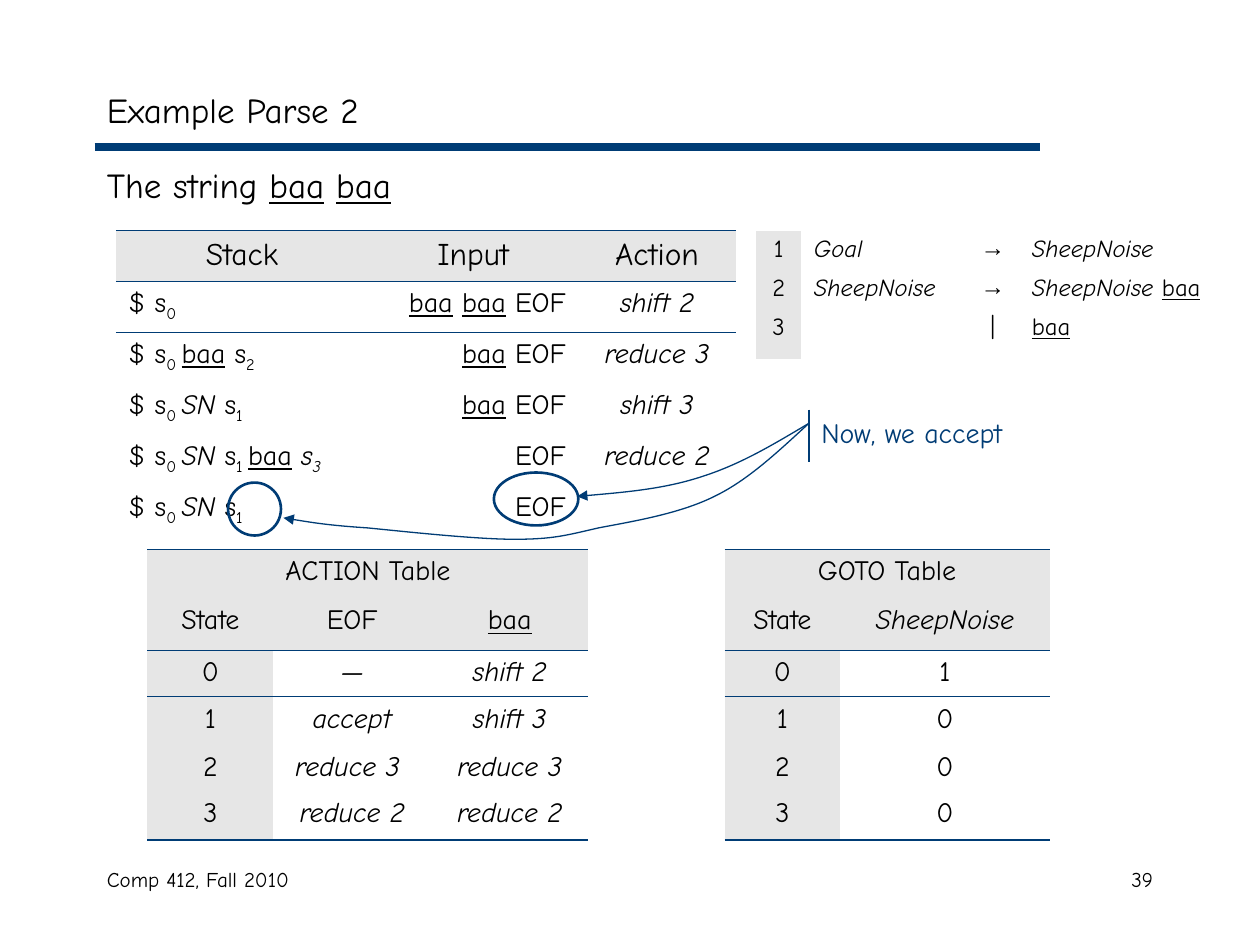
from dataclasses import dataclass, field

from lxml.etree import SubElement
from pptx import Presentation
from pptx.dml.color import RGBColor
from pptx.enum.shapes import MSO_CONNECTOR, MSO_SHAPE
from pptx.enum.text import MSO_ANCHOR, PP_ALIGN
from pptx.oxml.ns import qn
from pptx.util import Inches, Pt

NAVY, GREY, WHITE, BLACK = "003C75", "E6E6E6", "FFFFFF", "000000"
FONT = "Comic Neue"
PLAIN_STYLE = "{2D5ABB26-0587-4C30-8999-92F81FD0307C}"
ALIGN = {"l": PP_ALIGN.LEFT, "c": PP_ALIGN.CENTER, "r": PP_ALIGN.RIGHT}


@dataclass
class Label:
    text: str
    box: tuple
    size: float
    align: str = "l"
    color: str = BLACK
    middle: bool = False


@dataclass
class Grid:
    left: float
    top: float
    cols: list
    rows: list
    cells: list
    align: str
    rules: dict = field(default_factory=dict)  # row edge -> line width
    head: int = 0
    size: float = 16
    head_size: float = 16
    side: bool = True
    fill: str = ""
    spacing: float = 1.0
    title: bool = False


def rgb(color: str) -> RGBColor:
    return RGBColor.from_string(color)


def write(para, text: str, size: float, align: str, color: str = BLACK) -> None:
    """Fill a paragraph; _ marks underline, * italic and ~ subscript."""
    para.alignment = ALIGN[align]
    para.font.size = Pt(size)
    marks, part = set(), ""
    for char in text + "_":
        if char not in "_*~":
            part += char
            continue
        if part:
            run = para.add_run()
            run.text = part
            font = run.font
            font.name = "Arial" if part == "→" else FONT
            font.size = Pt(size)
            font.color.rgb = rgb(color)
            font.underline = "_" in marks
            font.italic = "*" in marks
            if "~" in marks:
                font._element.set("baseline", "-25000")
            part = ""
        marks ^= {char}


def add_label(slide, label: Label) -> None:
    box = slide.shapes.add_textbox(*map(Inches, label.box))
    frame = box.text_frame
    frame.word_wrap = True
    if label.middle:
        frame.vertical_anchor = MSO_ANCHOR.MIDDLE
    write(frame.paragraphs[0], label.text, label.size, label.align, label.color)


def add_edge(cell, tag: str, width: float) -> None:
    """Put a border first in the cell properties, ahead of the fill."""
    props = cell._tc.get_or_add_tcPr()
    line = SubElement(props, qn(tag), w=str(Pt(width)))
    SubElement(SubElement(line, qn("a:solidFill")), qn("a:srgbClr"), val=NAVY)
    props.insert(0, line)


def add_grid(slide, grid: Grid) -> None:
    frame = slide.shapes.add_table(
        len(grid.rows), len(grid.cols), Inches(grid.left), Inches(grid.top),
        Inches(sum(grid.cols)), Inches(sum(grid.rows)))
    table = frame.table
    table.first_row = table.horz_banding = False
    table._tbl.tblPr.find(qn("a:tableStyleId")).text = PLAIN_STYLE
    for col, width in zip(table.columns, grid.cols):
        col.width = Inches(width)
    for row, height in zip(table.rows, grid.rows):
        row.height = Inches(height)
    if grid.title:
        table.cell(0, 0).merge(table.cell(0, len(grid.cols) - 1))
    for r, texts in enumerate(grid.cells):
        is_head = r < grid.head
        for c, text in enumerate(texts):
            cell = table.cell(r, c)
            fill = GREY if is_head or (grid.side and c == 0) else grid.fill
            if fill:
                cell.fill.solid()
                cell.fill.fore_color.rgb = rgb(fill)
            else:
                cell.fill.background()
            para = cell.text_frame.paragraphs[0]
            para.line_spacing = grid.spacing
            write(para, text, grid.head_size if is_head else grid.size,
                  "c" if is_head else grid.align[c])
            for tag, edge in (("a:lnB", r + 1), ("a:lnT", r)):
                if edge in grid.rules:
                    add_edge(cell, tag, grid.rules[edge])


def add_line(slide, start: tuple, end: tuple, width: float) -> None:
    line = slide.shapes.add_connector(
        MSO_CONNECTOR.STRAIGHT, *map(Inches, start + end))
    line.line.color.rgb = rgb(NAVY)
    line.line.width = Pt(width)
    SubElement(line._element.spPr, qn("a:effectLst"))


def outline(shape, width: float) -> None:
    shape.shadow.inherit = False
    shape.fill.background()
    shape.line.color.rgb = rgb(NAVY)
    shape.line.width = Pt(width)


def add_ring(slide, box: tuple) -> None:
    outline(slide.shapes.add_shape(MSO_SHAPE.OVAL, *map(Inches, box)), 1.5)


def add_curve(slide, points: list) -> None:
    """Draw an arrow of Bezier pieces: a start, then three points a piece."""
    spots = [(Inches(x), Inches(y)) for x, y in points]
    form = slide.shapes.build_freeform(*spots[0])
    form.add_line_segments(spots[1:], close=False)
    shape = form.convert_to_shape()
    outline(shape, 0.75)
    SubElement(shape._element.spPr.find(qn("a:ln")), qn("a:tailEnd"), type="triangle")
    track = next(shape._element.iter(qn("a:path")))
    steps = track.findall(qn("a:lnTo"))
    for i in range(0, len(steps), 3):
        bend = SubElement(track, qn("a:cubicBezTo"))
        for step in steps[i:i + 3]:
            bend.append(step[0])
            track.remove(step)


STATE_ROWS = [0.39, 0.41, 0.37, 0.38, 0.37, 0.39]
STATE = dict(top=4.36, rows=STATE_ROWS, rules={0: 1.08, 2: 0.45, 6: 1.08},
             head=2, fill=WHITE, title=True)
GRIDS = [
    Grid(left=1.17, cols=[1, 1.25, 1.25], align="ccc", cells=[
        ("ACTION Table", "", ""), ("State", "EOF", "_baa_"),
        ("0", "*—*", "*shift 2*"), ("1", "*accept*", "*shift 3*"),
        ("2", "*reduce 3 *", "*reduce 3*"), ("3", "*reduce 2*", "*reduce 2*"),
    ], **STATE),
    Grid(left=5.75, cols=[0.92, 1.66], align="cc", cells=[
        ("GOTO Table", ""), ("State", "*SheepNoise*"),
        ("0", "1"), ("1", "0"), ("2", "0"), ("3", "0"),
    ], **STATE),
    Grid(0.92, 1.83, [2, 1.67, 1.25], [0.4] + [0.405] * 5, [
        ("Stack", "Input", "Action"),
        ("$ s~0~", "_baa_ _baa_ EOF", "*shift 2*"),
        ("$ s~0 ~_baa_ s~2~", "_baa_ EOF", "*reduce 3*"),
        ("$ s~0 ~*SN* s~1~", "_baa_ EOF", "*shift 3*"),
        ("$ s~0 ~*SN* s~1 ~_baa_* s~3~*", "EOF", "*reduce 2*"),
        ("$ s~0 ~*SN* s~1~", "EOF", ""),
    ], "lrc", {0: 1.08, 1: 0.45}, head=1, head_size=18, side=False),
    Grid(6, 1.83, [0.36, 1.31, 0.42, 1.67], [0.31, 0.31, 0.4], [
        ("1", "*Goal*", "→", "*SheepNoise*"),
        ("2", "*SheepNoise*", "→", "*SheepNoise *_baa_"),
        ("3", "", "|", "_baa_"),
    ], "clcl", size=14, spacing=0.9),
]
LABELS = [
    Label("Example Parse 2", (0.75, 0.58, 8.5, 0.58), 20, middle=True),
    Label("The string _baa_ _baa_", (0.75, 1.25, 8.5, 0.58), 20),
    Label("Now, we accept", (6.42, 3.25, 2.25, 0.37), 16, color=NAVY),
    Label("Comp 412, Fall 2010", (0.75, 6.83, 3.17, 0.5), 12),
    Label("39", (7.17, 6.83, 2.08, 0.5), 12, "r"),
]
RINGS = [(1.81, 3.83, 0.42, 0.42), (3.92, 3.75, 0.67, 0.42)]
CURVES = [
    [(6.42, 3.36), (6.15, 3.52), (5.89, 3.68), (5.58, 3.78),
     (5.28, 3.88), (4.93, 3.91), (4.58, 3.94)],
    [(6.42, 3.36), (6.18, 3.58), (5.94, 3.81), (5.67, 3.94),
     (5.39, 4.08), (5.01, 4.14), (4.75, 4.19),
     (4.49, 4.25), (4.39, 4.28), (4.08, 4.28),
     (3.78, 4.28), (3.22, 4.22), (2.92, 4.19),
     (2.61, 4.17), (2.43, 4.14), (2.25, 4.11)],
]


def main() -> None:
    deck = Presentation()
    deck.slide_width, deck.slide_height = Inches(10), Inches(7.5)
    slide = deck.slides.add_slide(deck.slide_layouts[6])
    add_line(slide, (0.75, 1.17), (8.25, 1.17), 4.5)
    for grid in GRIDS:
        add_grid(slide, grid)
    for label in LABELS:
        add_label(slide, label)
    add_line(slide, (6.42, 3.25), (6.42, 3.67), 1.5)
    for ring in RINGS:
        add_ring(slide, ring)
    for curve in CURVES:
        add_curve(slide, curve)
    deck.save("out.pptx")


if __name__ == "__main__":
    main()
